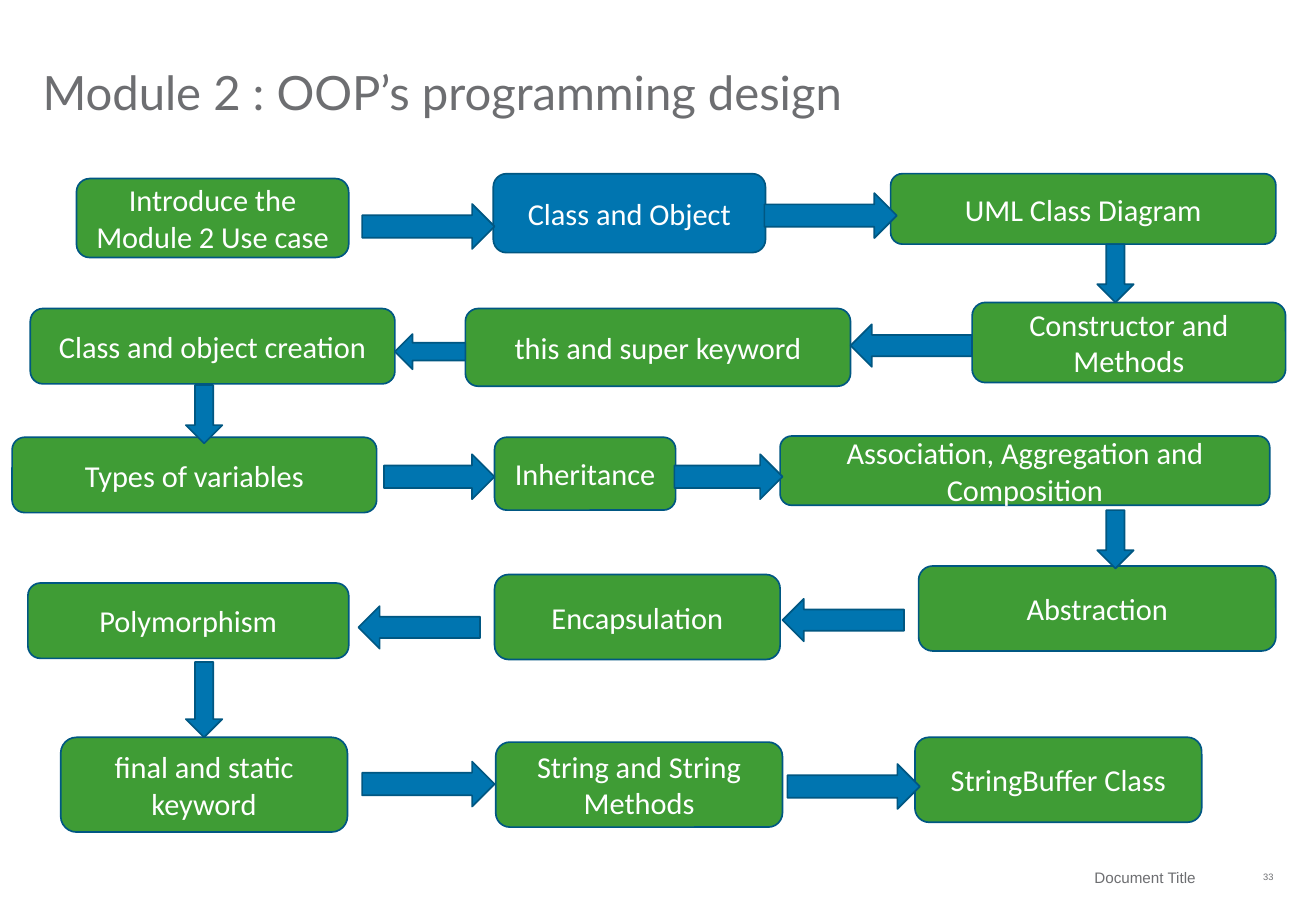
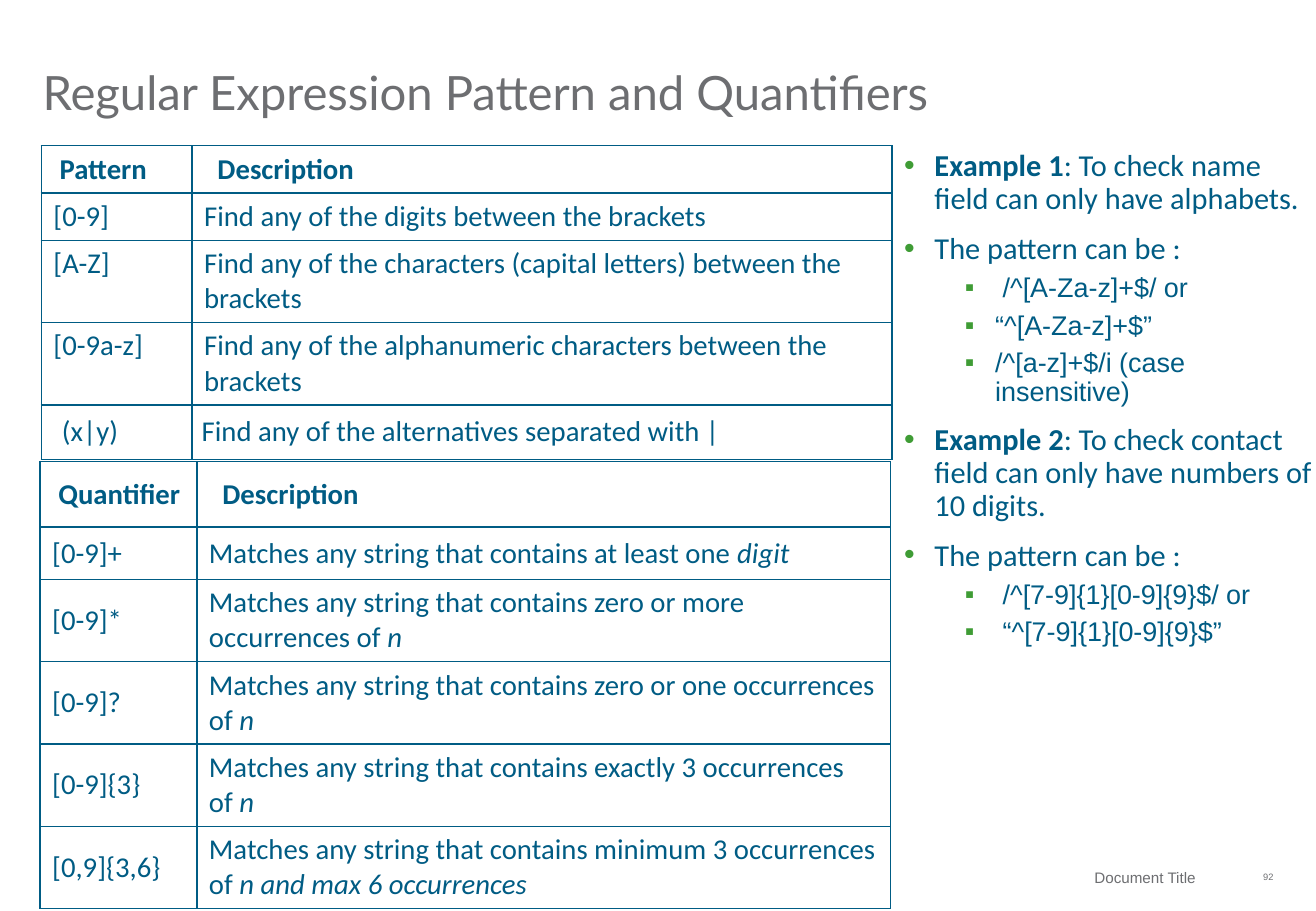
import pptx
import pptx.util
import pptx.dml.color
import pptx.enum.shapes
import pptx.enum.text
import pptx.oxml.ns
import lxml.etree

Inches = pptx.util.Inches
Pt = pptx.util.Pt
SHAPE = pptx.enum.shapes.MSO_SHAPE
ALIGN = pptx.enum.text.PP_ALIGN
ANCHOR = pptx.enum.text.MSO_ANCHOR

# Shared look
COLORS = {
    "white": "FFFFFF",
    "grey": "6D6E71",
    "green": "3F9C35",
    "blue": "0075B0",
    "edge": "005782",
    "ink": "005C84",
}
TITLE_FONT, TEXT_FONT, CODE_FONT = "Lato", "Calibri", "Arial"
NBSP = chr(160)

# Flow boxes: text, left, top, width, height
BOXES = [
    ("Introduce the Module 2 Use case", 0.63, 1.47, 2.24, 0.65),
    ("Class and Object", 4.06, 1.43, 2.24, 0.65),
    ("UML Class Diagram", 7.33, 1.43, 3.17, 0.58),
    ("Constructor and Methods", 8, 2.49, 2.58, 0.66),
    ("this and super keyword", 3.83, 2.54, 3.17, 0.64),
    ("Class and object creation", 0.25, 2.54, 3, 0.62),
    ("Types of variables", 0.1, 3.6, 3, 0.62),
    ("Inheritance", 4.07, 3.6, 1.49, 0.6),
    ("Association, Aggregation and Composition", 6.42, 3.59, 4.03, 0.57),
    ("Abstraction", 7.56, 4.66, 2.94, 0.7),
    ("Encapsulation", 4.07, 4.73, 2.35, 0.7),
    ("Polymorphism", 0.23, 4.8, 2.64, 0.62),
    ("final and static keyword", 0.5, 6.07, 2.36, 0.78),
    ("String and String Methods", 4.08, 6.11, 2.36, 0.7),
    ("StringBuffer Class", 7.53, 6.07, 2.36, 0.7),
]
CURRENT = "Class and Object"

# Block arrows by direction: left, top, width, height
ARROWS = {
    SHAPE.RIGHT_ARROW: [
        (2.98, 1.68, 1.09, 0.37),
        (6.29, 1.59, 1.09, 0.37),
        (3.16, 3.74, 0.91, 0.37),
        (5.55, 3.74, 0.89, 0.37),
        (2.98, 6.27, 1.09, 0.37),
        (6.48, 6.29, 1.09, 0.37),
    ],
    SHAPE.LEFT_ARROW: [
        (7, 2.67, 1, 0.35),
        (3.25, 2.75, 0.58, 0.29),
        (6.44, 4.93, 1, 0.35),
        (2.95, 4.99, 1, 0.35),
    ],
    SHAPE.DOWN_ARROW: [
        (9.03, 2.01, 0.3, 0.48),
        (1.53, 3.17, 0.3, 0.48),
        (9.03, 4.2, 0.3, 0.48),
        (1.53, 5.45, 0.3, 0.62),
    ],
}

# Table rows: a term, then plain text and an optional italic ending
PATTERNS = [
    ("Pattern", "Description"),
    ("[0-9]", "Find any of the digits between the brackets"),
    ("[A-Z]", "Find any of the characters (capital letters) between the brackets"),
    ("[0-9a-z]", "Find any of the alphanumeric characters between the brackets"),
    ("(x|y)", "Find any of the alternatives separated with |"),
]
MATCH = "Matches any string that contains"
COUNTS = [
    ("Quantifier", "Description"),
    ("[0-9]+", f"{MATCH} at least one{NBSP}", "digit"),
    ("[0-9]*", f"{MATCH} zero or more occurrences of{NBSP}", "n"),
    ("[0-9]?", f"{MATCH} zero or one occurrences of{NBSP}", "n"),
    ("[0-9]{3}", f"{MATCH} exactly 3 occurrences of{NBSP}", "n"),
    ("[0,9]{3,6}", f"{MATCH} minimum 3 occurrences of{NBSP}", "n and max 6 occurrences"),
]

# Example list: level, bold lead, text
POINTS = [
    (0, "Example 1", ": To check name field can only have alphabets."),
    (0, "", "The pattern can be :"),
    (1, "", " /^[A-Za-z]+$/ or"),
    (1, "", "“^[A-Za-z]+$”"),
    (1, "", "/^[a-z]+$/i (case insensitive)"),
    (0, "Example 2", ": To check contact field can only have numbers of 10 digits."),
    (0, "", "The pattern can be :"),
    (1, "", " /^[7-9]{1}[0-9]{9}$/ or"),
    (1, "", " “^[7-9]{1}[0-9]{9}$”"),
]
# Per level: bullet, indent, space before, size, font
LEVELS = [("•", 0.25, 10, 18, TEXT_FONT), ("▪", 0.75, 5, 16, CODE_FONT)]


def rgb(name):
    return pptx.dml.color.RGBColor.from_string(COLORS[name])


def style(run, size, color, face, bold=False, slant=False):
    font = run.font
    font.size, font.name = Pt(size), face
    font.bold, font.italic = bold, slant
    font.color.rgb = rgb(color)


def place(shape, left, top, width, height):
    shape.left, shape.top = Inches(left), Inches(top)
    shape.width, shape.height = Inches(width), Inches(height)


def set_frame(frame, anchor, right=0):
    frame.word_wrap = True
    frame.auto_size = pptx.enum.text.MSO_AUTO_SIZE.NONE
    frame.vertical_anchor = anchor
    frame.margin_left = frame.margin_top = frame.margin_bottom = 0
    frame.margin_right = Inches(right)


def add_label(slide, text, area, size, right=0):
    box = slide.shapes.add_textbox(*map(Inches, area))
    set_frame(box.text_frame, ANCHOR.MIDDLE, right)
    box.text_frame.text = text
    par = box.text_frame.paragraphs[0]
    par.alignment = ALIGN.RIGHT
    style(par.runs[0], size, "grey", CODE_FONT)


def add_slide(deck, layout, title, number):
    """Add a slide with the shared title and footer."""
    slide = deck.slides.add_slide(deck.slide_layouts[layout])
    head = slide.shapes.title
    place(head, 0.35, 0.22, 10.13, 0.77)
    set_frame(head.text_frame, ANCHOR.BOTTOM)
    head.text_frame.text = title
    par = head.text_frame.paragraphs[0]
    par.alignment, par.line_spacing = ALIGN.LEFT, 0.9
    style(par.runs[0], 28, "grey", TITLE_FONT)
    add_label(slide, number, (10.09, 7.05, 0.39, 0.33), 5.5)
    add_label(slide, "Document Title", (6.19, 7.08, 3.8, 0.28), 9, 0.15)
    return slide


def add_block(slide, kind, area, fill):
    block = slide.shapes.add_shape(kind, *map(Inches, area))
    block.shadow.inherit = False
    block.fill.solid()
    block.fill.fore_color.rgb = rgb(fill)
    block.line.color.rgb = rgb("edge")
    block.line.width = Pt(1)
    return block


def add_box(slide, text, *area):
    fill = "blue" if text == CURRENT else "green"
    frame = add_block(slide, SHAPE.ROUNDED_RECTANGLE, area, fill).text_frame
    frame.word_wrap = True
    frame.vertical_anchor = ANCHOR.MIDDLE
    frame.text = text
    par = frame.paragraphs[0]
    par.alignment = ALIGN.CENTER
    style(par.runs[0], 18, "white", TEXT_FONT)


def add_mark(parent, tag, **attrs):
    node = lxml.etree.SubElement(parent, pptx.oxml.ns.qn(tag))
    for key, value in attrs.items():
        node.set(key, value)
    return node


def paint_cell(cell):
    """Give a cell thin borders and a white fill."""
    props = cell._tc.get_or_add_tcPr()
    for side in "LRTB":
        line = add_mark(props, f"a:ln{side}", w=str(Pt(1)))
        fill = add_mark(line, "a:solidFill")
        add_mark(fill, "a:srgbClr", val=COLORS["ink"])
    cell.fill.solid()
    cell.fill.fore_color.rgb = rgb("white")


def add_grid(slide, left, top, widths, heights, rows, anchor):
    area = (left, top, sum(widths), sum(heights))
    grid = slide.shapes.add_table(len(rows), len(widths), *map(Inches, area)).table
    grid.first_row = grid.horz_banding = False
    for col, width in zip(grid.columns, widths):
        col.width = Inches(width)
    for r, (height, (term, *parts)) in enumerate(zip(heights, rows)):
        grid.rows[r].height = Inches(height)
        for c, texts in enumerate(([term], parts)):
            cell = grid.cell(r, c)
            paint_cell(cell)
            cell.vertical_anchor = anchor
            if r == 0:
                cell.margin_left = Inches((0.15, 0.21)[c])
            par = cell.text_frame.paragraphs[0]
            for i, text in enumerate(texts):
                run = par.add_run()
                run.text = text
                style(run, 17, "ink", TEXT_FONT, bold=r == 0, slant=i == 1)
    return grid


def fill_list(body, points):
    frame = body.text_frame
    set_frame(frame, ANCHOR.TOP)
    for i, (level, lead, text) in enumerate(points):
        sign, indent, gap, size, face = LEVELS[level]
        par = frame.add_paragraph() if i else frame.paragraphs[0]
        par.level, par.line_spacing = level, 0.9
        par.space_before = Pt(gap if i else 0)
        props = par._p.get_or_add_pPr()
        props.set("marL", str(Inches(indent)))
        props.set("indent", str(Inches(-0.25)))
        tint = add_mark(props, "a:buClr")
        add_mark(tint, "a:srgbClr", val=COLORS["green"])
        add_mark(props, "a:buFont", typeface=CODE_FONT)
        add_mark(props, "a:buChar", char=sign)
        for part, bold in ((lead, True), (text, False)):
            if part:
                run = par.add_run()
                run.text = part
                style(run, size, "ink", face, bold)


def build_flow(deck):
    slide = add_slide(deck, 5, "Module 2 : OOP’s programming design", "33")
    for box in BOXES:
        add_box(slide, *box)
    for kind, areas in ARROWS.items():
        for area in areas:
            add_block(slide, kind, area, "blue")


def build_regex(deck):
    slide = add_slide(deck, 1, "Regular Expression Pattern and Quantifiers", "92")
    grid = add_grid(slide, 0.34, 1.2, (1.24, 5.76), [0.36] * 4 + [0.4],
                    PATTERNS, ANCHOR.TOP)
    # The last pattern row has wider margins
    for c, left in enumerate((0.17, 0.08)):
        cell = grid.cell(4, c)
        cell.margin_left = Inches(left)
        cell.margin_top = cell.margin_right = cell.margin_bottom = Inches(0.08)
    add_grid(slide, 0.33, 3.8, (1.29, 5.71), (0.54, 0.43, 0.54, 0.54, 0.54, 0.61),
             COUNTS, ANCHOR.MIDDLE)
    body = slide.placeholders[1]
    place(body, 7.44, 1.24, 3.36, 4.33)
    fill_list(body, POINTS)


def main():
    deck = pptx.Presentation()
    deck.slide_width, deck.slide_height = Inches(10.83), Inches(7.5)
    build_flow(deck)
    build_regex(deck)
    deck.save("out.pptx")


if __name__ == "__main__":
    main()
